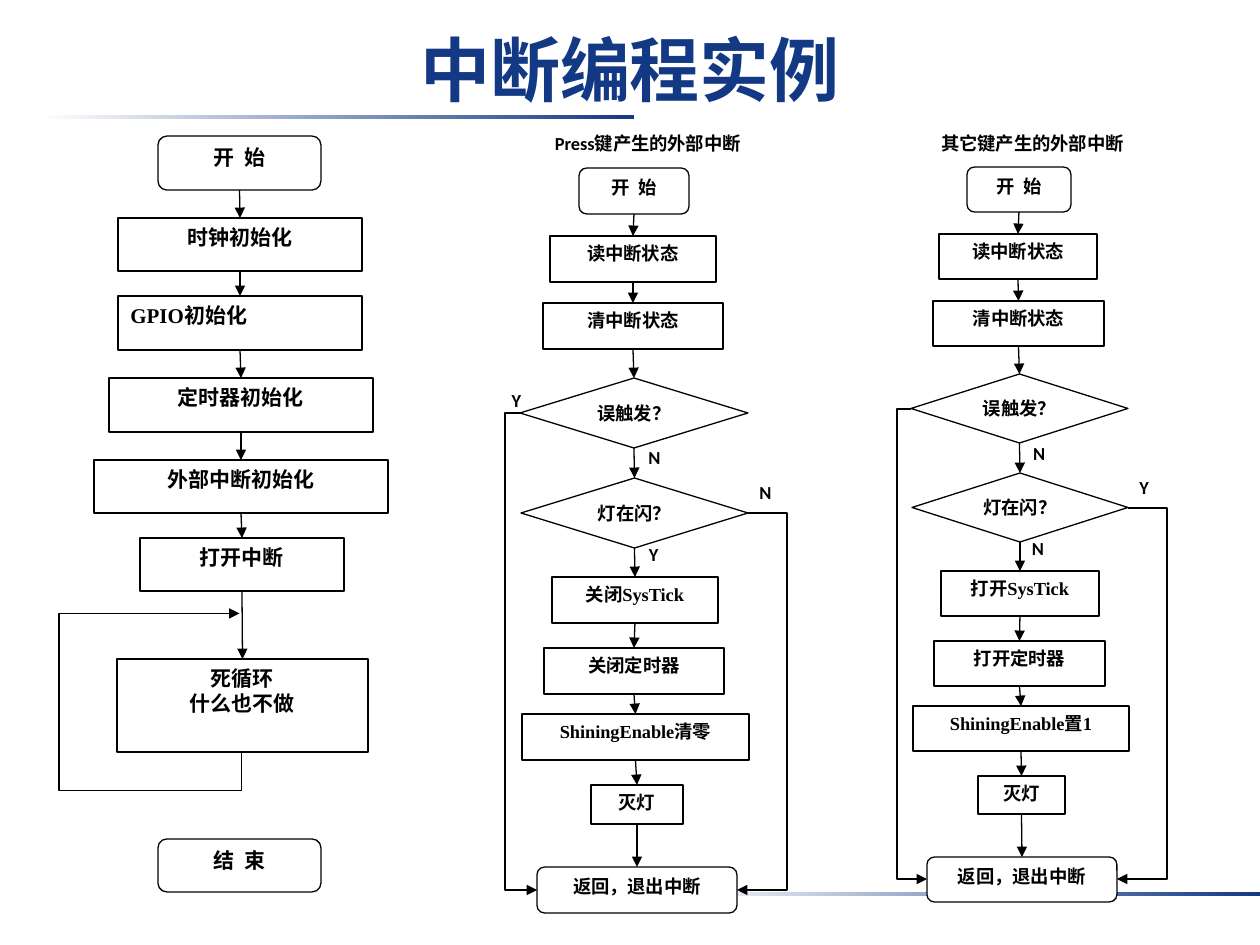
from collections import namedtuple
from itertools import pairwise

from lxml.etree import SubElement
from pptx import Presentation
from pptx.dml.color import RGBColor
from pptx.enum.shapes import MSO_CONNECTOR as Link, MSO_SHAPE as Shape
from pptx.enum.text import MSO_ANCHOR as Anchor, PP_ALIGN as Align
from pptx.oxml.ns import qn
from pptx.util import Pt

SCALE = 914400 / 126
COLORS = {"ink": "000000", "paper": "FFFFFF", "navy": "133984"}
SANS, SERIF, TITLE = "Calibri", "Times New Roman", "Arial"
Box = namedtuple("Box", "left top width height")

presentation = Presentation()
presentation.slide_width = round(1260 * SCALE)
presentation.slide_height = round(945 * SCALE)
slide = presentation.slides.add_slide(presentation.slide_layouts[6])


def color(name):
    return RGBColor.from_string(COLORS[name])


def emu(*pixels):
    return [round(value * SCALE) for value in pixels]


def write(shape, text, size, font=SANS, ink="ink"):
    frame = shape.text_frame
    frame.word_wrap = True
    frame.vertical_anchor = Anchor.TOP
    frame.text = text
    for paragraph in frame.paragraphs:
        paragraph.alignment = Align.CENTER
        for run in paragraph.runs:
            run.font.size = Pt(size)
            run.font.bold = True
            run.font.name = font
            run.font.color.rgb = color(ink)


def add_label(box, text, size, font=SANS, ink="ink"):
    label = slide.shapes.add_textbox(*emu(*box))
    write(label, text, size, font, ink)
    return label


def add_step(kind, box, text, size, font=SANS):
    step = slide.shapes.add_shape(kind, *emu(*box))
    step.shadow.inherit = False
    step.fill.solid()
    step.fill.fore_color.rgb = color("paper")
    step.line.color.rgb = color("ink")
    step.line.width = Pt(0.75)
    write(step, text, size, font)
    return step


def add_arrow(kind, start, end, preset=None, adjustments=()):
    arrow = slide.shapes.add_connector(kind, *emu(*start, *end))
    arrow.line.color.rgb = color("ink")
    arrow.line.width = Pt(0.75)
    properties = arrow._element.spPr
    SubElement(properties.find(qn("a:ln")), qn("a:tailEnd"), type="triangle")
    SubElement(properties, qn("a:effectLst"))
    geometry = properties.find(qn("a:prstGeom"))
    if preset:
        geometry.set("prst", preset)
    values = geometry.find(qn("a:avLst"))
    for number, value in enumerate(adjustments, 1):
        SubElement(values, qn("a:gd"), name=f"adj{number}",
                   fmla=f"val {round(value * 100000)}")
    return arrow


def join_steps(steps):
    for upper, lower in pairwise(steps):
        arrow = add_arrow(Link.STRAIGHT, (0, 0), (0, 0))
        arrow.begin_connect(upper, 2)
        arrow.end_connect(lower, 0)


def draw_header(box):
    for left, top in ((39, 115), (665, 892)):
        rule = slide.shapes.add_shape(Shape.RECTANGLE, *emu(left, top, 595, 4))
        rule.shadow.inherit = False
        rule.line.fill.background()
        rule.fill.gradient()
        rule.fill.gradient_angle = 0
        for stop, name in zip(rule.fill.gradient_stops, ("paper", "navy")):
            stop.color.rgb = color(name)
    title = add_label(box, "中断编程实例", 40, TITLE, "navy")
    title.text_frame.vertical_anchor = Anchor.MIDDLE


def draw_main_flow(box):
    rounded, plain = Shape.FLOWCHART_ALTERNATE_PROCESS, Shape.RECTANGLE
    rows = [
        (rounded, 101, 0, 163, 54, "开  始"),
        (plain, 61, 82, 244, 53, "时钟初始化"),
        (plain, 61, 160, 244, 54, "GPIO初始化"),
        (plain, 52, 242, 264, 54, "定时器初始化"),
        (plain, 37, 324, 294, 53, "外部中断初始化"),
        (plain, 83, 402, 204, 53, "打开中断"),
        (plain, 60, 523, 251, 93, "死循环\n什么也不做"),
        (rounded, 101, 703, 163, 53, "结  束"),
    ]
    steps = [
        add_step(kind, (box.left + x, box.top + y, width, height), text, 12)
        for kind, x, y, width, height, text in rows
    ]
    steps[2].text_frame.text = ""
    paragraph = steps[2].text_frame.paragraphs[0]
    for text, font in (("GPIO", SERIF), ("初始化", SANS)):
        run = paragraph.add_run()
        run.text = text
        run.font.size, run.font.bold, run.font.name = Pt(12), True, font
        run.font.color.rgb = color("ink")
    join_steps(steps[:-1])
    length, offset, drop, reach = 139, 2, 38, 184
    loop = add_arrow(Link.ELBOW, (box.left + 114, box.top + 548),
                     (box.left + 114 + length, box.top + 548 - offset),
                     "bentConnector5", (-drop / length, reach / offset, 1))
    loop._element.spPr.find(qn("a:xfrm")).set("rot", str(270 * 60000))


def draw_interrupt_flow(box, heading, verb, flag, labels):
    scale_x, scale_y = box.width / 300, box.height / 788

    def fit(x, y, width, height):
        return (round(box.left + x * scale_x), round(box.top + y * scale_y),
                round(width * scale_x), round(height * scale_y))

    def point(x, y):
        return fit(x, y, 0, 0)[:2]

    title = add_label(fit(0, 0, 300, 45), heading, 10.5)
    title.fill.solid()
    title.fill.fore_color.rgb = color("paper")

    rounded, plain = Shape.FLOWCHART_ALTERNATE_PROCESS, Shape.RECTANGLE
    rows = [
        (rounded, 81, 42, 110, 46, "开  始", SANS),
        (plain, 52, 110, 166, 46, "读中断状态", SERIF),
        (plain, 45, 177, 180, 46, "清中断状态", SANS),
        (Shape.DIAMOND, 22, 252, 228, 70, "误触发？", SANS),
        (Shape.DIAMOND, 23, 352, 227, 70, "灯在闪？", SANS),
        (plain, 54, 451, 166, 46, f"{verb}SysTick", SERIF),
        (plain, 46, 522, 180, 46, f"{verb}定时器", SANS),
        (plain, 24, 588, 227, 46, f"ShiningEnable{flag}", SERIF),
        (plain, 93, 659, 92, 39, "灭灯", SERIF),
        (rounded, 39, 741, 200, 46, "返回，退出中断", SANS),
    ]
    join_steps([
        add_step(kind, fit(*place), text, 10.5, font)
        for kind, *place, text, font in rows
    ])
    for start, end, via in (((22, 287), (39, 764), 7),
                            ((250, 387), (239, 764), 289)):
        bend = (via - start[0]) / (end[0] - start[0])
        add_arrow(Link.ELBOW, point(*start), point(*end), adjustments=[bend])
    spots = ((128, 314), (127, 411), (239, 349), (-10, 257))
    for spot, text in zip(spots, labels):
        add_label(fit(*spot, 57, 45), text, 10.5)


draw_header(Box(0, 21, 1260, 95))
draw_main_flow(Box(57, 136, 332, 757))
draw_interrupt_flow(Box(498, 126, 300, 788), "Press键产生的外部中断", "关闭", "清零", "NYNY")
draw_interrupt_flow(Box(890, 126, 285, 777), "其它键产生的外部中断", "打开", "置1", "NNY")
presentation.save("out.pptx")
